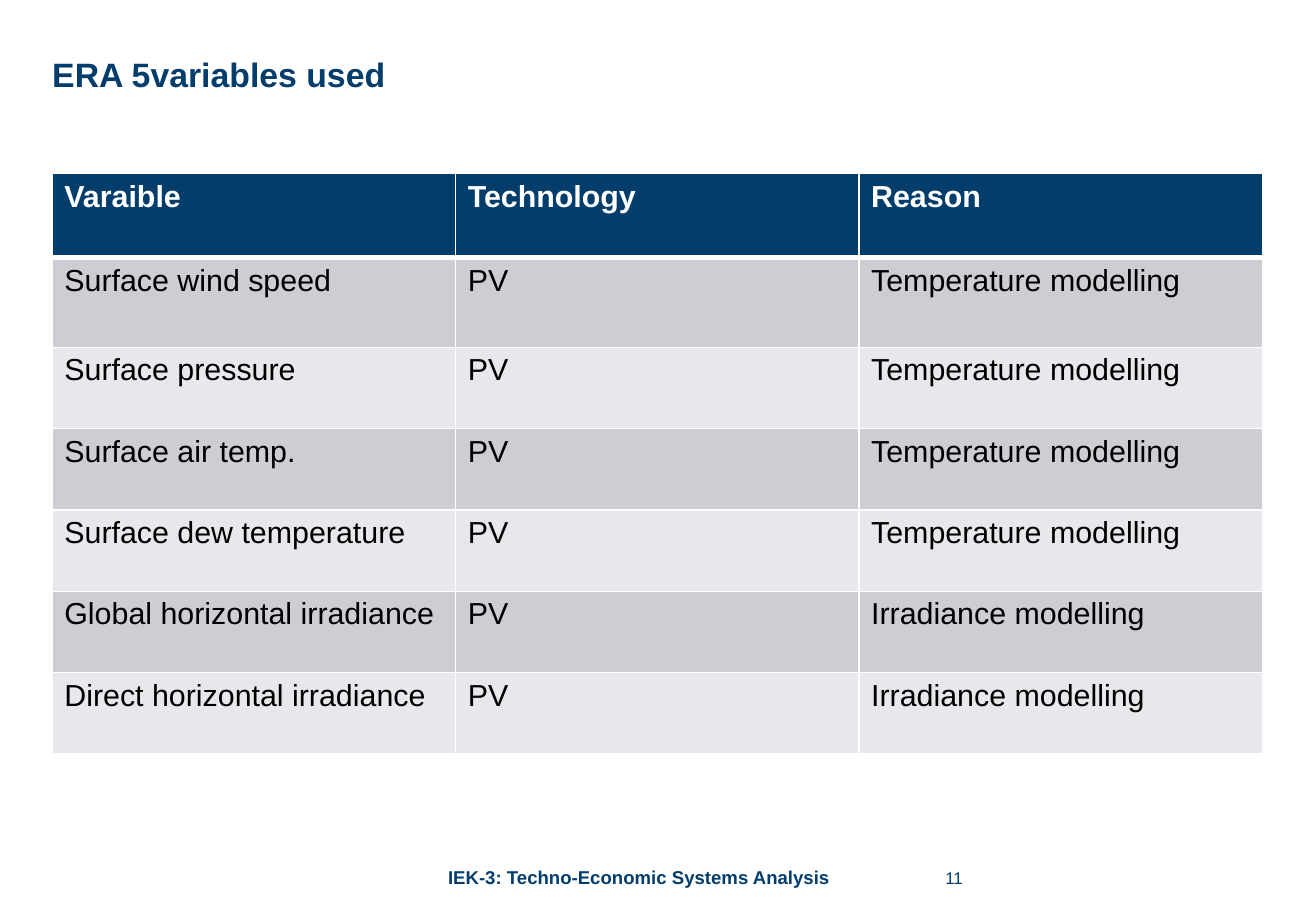
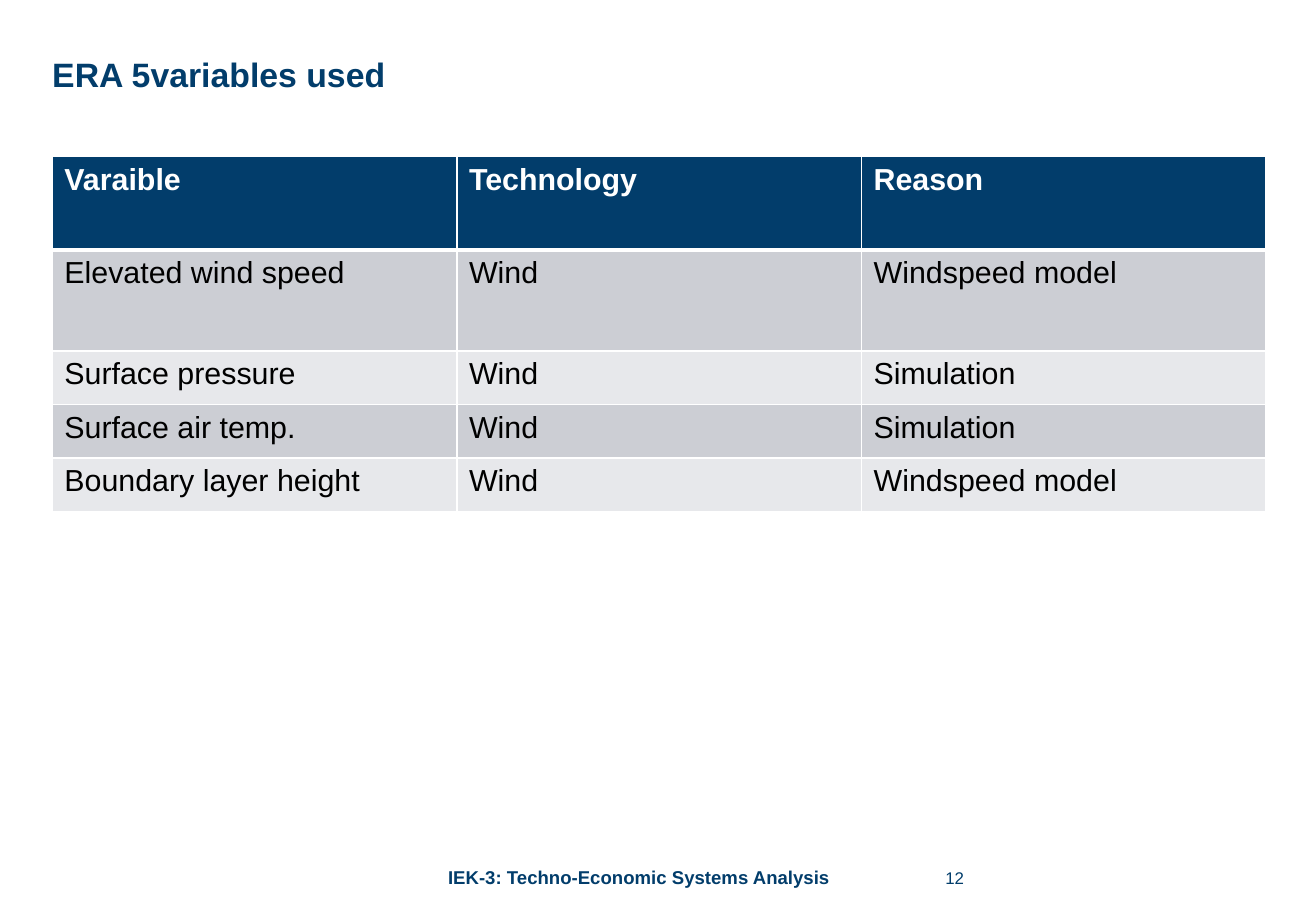
"""Build two slides that list the ERA 5 variables used for PV and for wind."""
from dataclasses import dataclass

from lxml.etree import SubElement
from pptx import Presentation
from pptx.dml.color import RGBColor as RGB
from pptx.enum.text import MSO_ANCHOR as Anchor, PP_ALIGN as Align
from pptx.oxml.ns import qn
from pptx.util import Inches, Pt


@dataclass(frozen=True)
class Theme:
    """Colours, font and type sizes of the deck."""
    navy: str = "023D6B"
    white: str = "FFFFFF"
    black: str = "000000"
    bands: tuple = ("CCCED4", "E7E8EB")
    font: str = "Arial"
    title: int = 20
    body: int = 18
    footer: int = 11
    number: int = 10
    rule: int = 1
    header_rule: int = 3


THEME = Theme()
WIDTH, HEIGHT, MARGIN = 10.83, 7.5, 0.43
TITLE = "ERA 5variables used"
FOOTER = "IEK-3: Techno-Economic Systems Analysis"
HEADER = ("Varaible", "Technology", "Reason")
FIRST_NUMBER = 11

TABLES = [
    {
        "top": 1.43, "column": 3.32, "heights": (0.69, 0.74, 0.67), "technology": "PV",
        "reasons": [
            ("Surface wind speed", "Temperature modelling"),
            ("Surface pressure", "Temperature modelling"),
            ("Surface air temp.", "Temperature modelling"),
            ("Surface dew temperature", "Temperature modelling"),
            ("Global horizontal irradiance", "Irradiance modelling"),
            ("Direct horizontal irradiance", "Irradiance modelling"),
        ],
    },
    {
        "top": 1.29, "column": 3.33, "heights": (0.77, 0.83, 0.44), "technology": "Wind",
        "reasons": [
            ("Elevated wind speed", "Windspeed model"),
            ("Surface pressure", "Simulation"),
            ("Surface air temp.", "Simulation"),
            ("Boundary layer height", "Windspeed model"),
        ],
    },
]


def style(paragraph, size, color, bold=False, align=Align.LEFT):
    """Format a whole paragraph."""
    paragraph.alignment = align
    font = paragraph.font
    font.name, font.size, font.bold = THEME.font, Pt(size), bold
    font.color.rgb = RGB.from_string(color)


def fill_frame(frame, text, anchor, *look):
    """Put one styled line into a text frame without insets."""
    frame.margin_left = frame.margin_top = frame.margin_right = frame.margin_bottom = 0
    frame.word_wrap, frame.vertical_anchor = True, anchor
    frame.text = text
    style(frame.paragraphs[0], *look)


def add_line(slide, box, text, *look):
    """Add a text box holding one line."""
    frame = slide.shapes.add_textbox(*map(Inches, box)).text_frame
    fill_frame(frame, text, Anchor.TOP, *look)


def draw_borders(cell, top, bottom):
    """Draw white cell borders with the given top and bottom widths."""
    properties = cell._tc.get_or_add_tcPr()
    for side, width in zip("LRTB", (THEME.rule, THEME.rule, top, bottom)):
        line = SubElement(properties, qn(f"a:ln{side}"), w=str(Pt(width)))
        SubElement(SubElement(line, qn("a:solidFill")), qn("a:srgbClr"), val=THEME.white)


def add_variables(slide, top, column, heights, technology, reasons):
    """Add the table of variables for one technology."""
    rows = [HEADER] + [(variable, technology, reason) for variable, reason in reasons]
    row_heights = [heights[min(r, len(heights) - 1)] for r in range(len(rows))]
    table = slide.shapes.add_table(
        len(rows), len(HEADER), Inches(MARGIN), Inches(top),
        Inches(column * len(HEADER)), Inches(sum(row_heights))).table
    for table_column in table.columns:
        table_column.width = Inches(column)
    for r, row in enumerate(rows):
        table.rows[r].height = Inches(row_heights[r])
        is_header = r == 0
        band = THEME.navy if is_header else THEME.bands[(r - 1) % 2]
        for c, text in enumerate(row):
            cell = table.cell(r, c)
            draw_borders(cell, THEME.header_rule if r == 1 else THEME.rule,
                         THEME.header_rule if is_header else THEME.rule)
            cell.fill.solid()
            cell.fill.fore_color.rgb = RGB.from_string(band)
            cell.text = text
            style(cell.text_frame.paragraphs[0], THEME.body,
                  THEME.white if is_header else THEME.black, is_header)


def add_frame(deck, number):
    """Add a slide with the shared title, footer and page number."""
    slide = deck.slides.add_slide(deck.slide_layouts[5])
    title = slide.shapes.title
    title.left, title.top = Inches(MARGIN), Inches(0.35)
    title.width, title.height = Inches(WIDTH - 2 * MARGIN), Inches(0.48)
    fill_frame(title.text_frame, TITLE, Anchor.MIDDLE, THEME.title, THEME.navy, True)
    title.text_frame.paragraphs[0].line_spacing = 1.14
    add_line(slide, (3.21, 7.13, 4.1, 0.24), FOOTER,
             THEME.footer, THEME.navy, True, Align.CENTER)
    add_line(slide, (7.78, 7.14, 0.47, 0.25), str(number), THEME.number, THEME.navy)
    return slide


def main():
    """Build and save the deck."""
    deck = Presentation()
    deck.slide_width, deck.slide_height = Inches(WIDTH), Inches(HEIGHT)
    for number, variables in enumerate(TABLES, FIRST_NUMBER):
        add_variables(add_frame(deck, number), **variables)
    deck.save("out.pptx")


if __name__ == "__main__":
    main()
